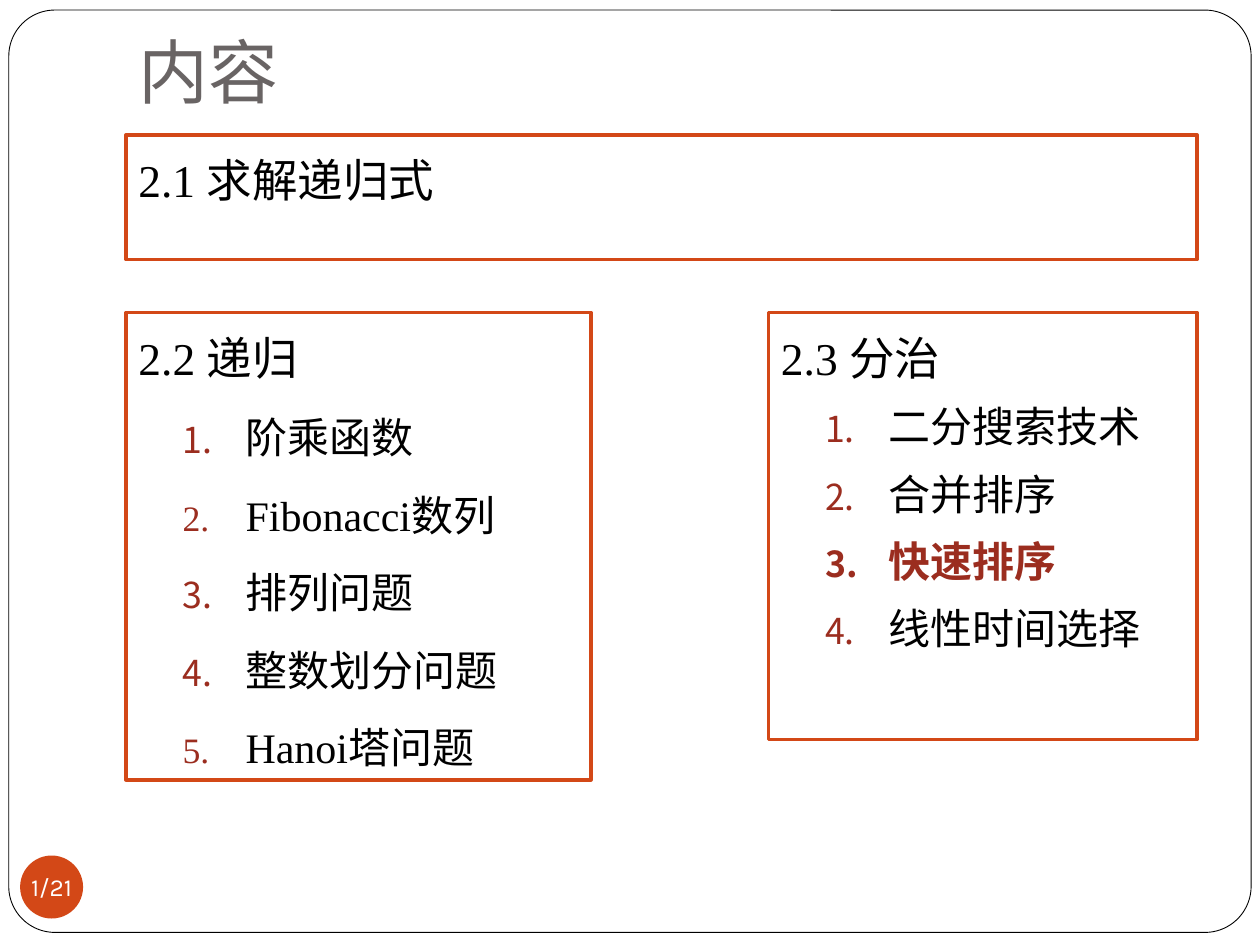
from lxml import etree
from pptx import Presentation
from pptx.dml.color import RGBColor
from pptx.enum import shapes, text
from pptx.oxml.ns import qn
from pptx.util import Inches, Pt

WHITE = RGBColor(0xFF, 0xFF, 0xFF)
BLACK = RGBColor(0, 0, 0)
GRAY = RGBColor(0x69, 0x64, 0x64)
ORANGE = RGBColor(0xD3, 0x48, 0x17)
RED = RGBColor(0x9B, 0x2D, 0x1F)
SERIF = "Times New Roman"
SANS = "Karla"


def add_text(p, content, size, font=SERIF, color=BLACK, bold=False,
             align=text.PP_ALIGN.LEFT, spacing=1.0, before=0, after=0, numbered=False):
    p.alignment = align
    p.line_spacing = spacing
    p.space_before, p.space_after = Pt(before), Pt(after)
    r = p.add_run()
    r.text = content
    r.font.size, r.font.name, r.font.bold = Pt(size), font, bold
    r.font.color.rgb = color
    if numbered:
        p.level = 1
        pPr = p._p.get_or_add_pPr()
        pPr.set("marL", str(Inches(0.85)))
        pPr.set("indent", str(Inches(-0.5)))
        clr = etree.SubElement(pPr, qn("a:buClr"))
        etree.SubElement(clr, qn("a:srgbClr"), val=str(RED))
        etree.SubElement(pPr, qn("a:buSzPct"), val="85000")
        etree.SubElement(pPr, qn("a:buAutoNum"), type="arabicPeriod")


prs = Presentation()
prs.slide_width, prs.slide_height = Inches(10), Inches(7.5)
s = prs.slides.add_slide(prs.slide_layouts[6])
s.background.fill.solid()
s.background.fill.fore_color.rgb = WHITE

frame = s.shapes.add_shape(shapes.MSO_SHAPE.ROUNDED_RECTANGLE,
                           Inches(0.07), Inches(0.08), Inches(9.86), Inches(7.32))
frame.adjustments[0] = 0.05
frame.shadow.inherit = False
frame.fill.solid()
frame.fill.fore_color.rgb = WHITE
frame.line.color.rgb = BLACK
frame.line.width = Pt(0.5)

title = s.shapes.add_textbox(Inches(1), Inches(0.3), Inches(8.5), Inches(0.69))
tf = title.text_frame
tf.word_wrap = True
tf.vertical_anchor = text.MSO_ANCHOR.BOTTOM
tf.margin_bottom = Inches(0.1)
add_text(tf.paragraphs[0], "内容", 40, font=SANS, color=GRAY)

sections = [
    (1, 2.48, 3.69, 3.71, 6, "2.2 递归",
     ["阶乘函数", "Fibonacci数列", "排列问题", "整数划分问题", "Hanoi塔问题"]),
    (6.1, 2.48, 3.4, 3.39, 0, "2.3 分治",
     ["二分搜索技术", "合并排序", "快速排序", "线性时间选择"]),
    (1, 1.07, 8.5, 0.99, 0, "2.1 求解递归式", []),
]
current = "快速排序"
for left, top, width, height, after, heading, items in sections:
    sp = s.shapes.add_shape(shapes.MSO_SHAPE.RECTANGLE, Inches(left), Inches(top),
                            Inches(width), Inches(height))
    sp.shadow.inherit = False
    sp.fill.background()
    sp.line.color.rgb = ORANGE
    sp.line.width = Pt(2)
    tf = sp.text_frame
    tf.word_wrap = True
    tf.vertical_anchor = text.MSO_ANCHOR.TOP
    add_text(tf.paragraphs[0], heading, 26, spacing=1.2, before=5.8, after=after)
    for item in items:
        add_text(tf.add_paragraph(), item, 24, color=RED if item == current else BLACK,
                 bold=item == current, spacing=1.2, before=3.8, after=after, numbered=True)

badge = s.shapes.add_shape(shapes.MSO_SHAPE.OVAL, Inches(0.16), Inches(6.79),
                           Inches(0.5), Inches(0.5))
badge.shadow.inherit = False
badge.fill.solid()
badge.fill.fore_color.rgb = ORANGE
badge.line.fill.background()
tf = badge.text_frame
tf.word_wrap = False
tf.vertical_anchor = text.MSO_ANCHOR.MIDDLE
tf.margin_left = tf.margin_right = tf.margin_top = tf.margin_bottom = 0
add_text(tf.paragraphs[0], "1/21", 14, font=SANS, color=WHITE, align=text.PP_ALIGN.CENTER)

prs.save("out.pptx")
